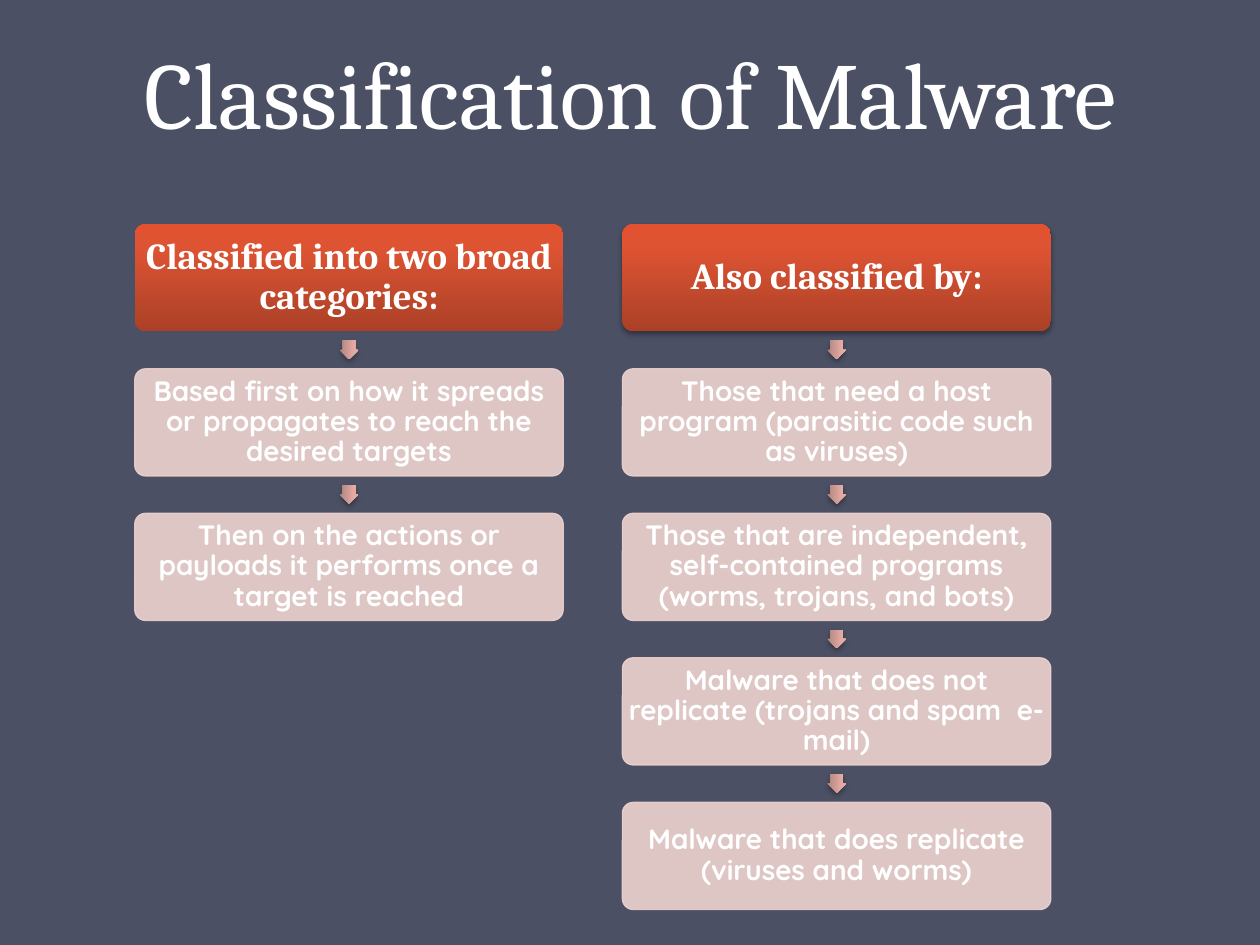
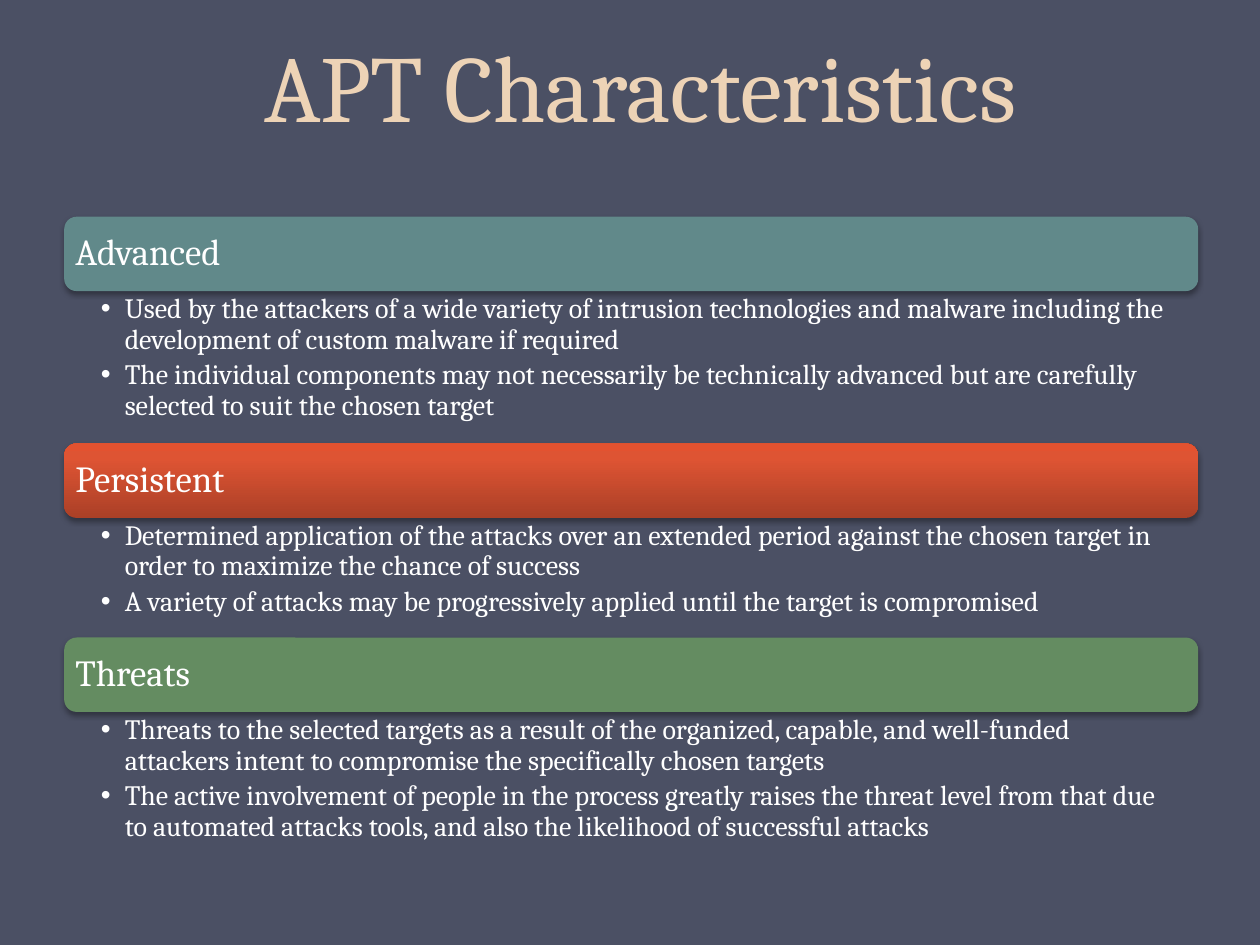
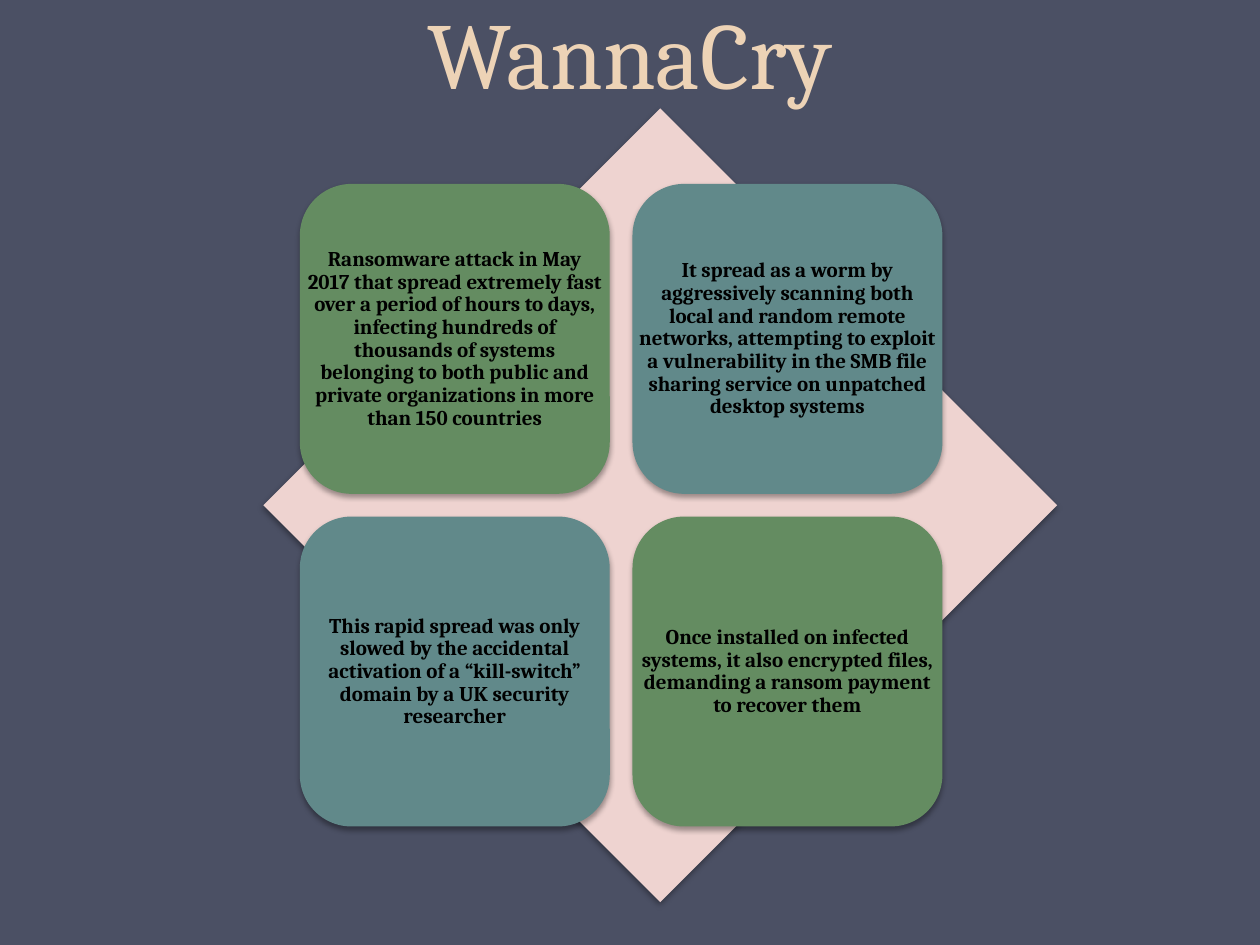
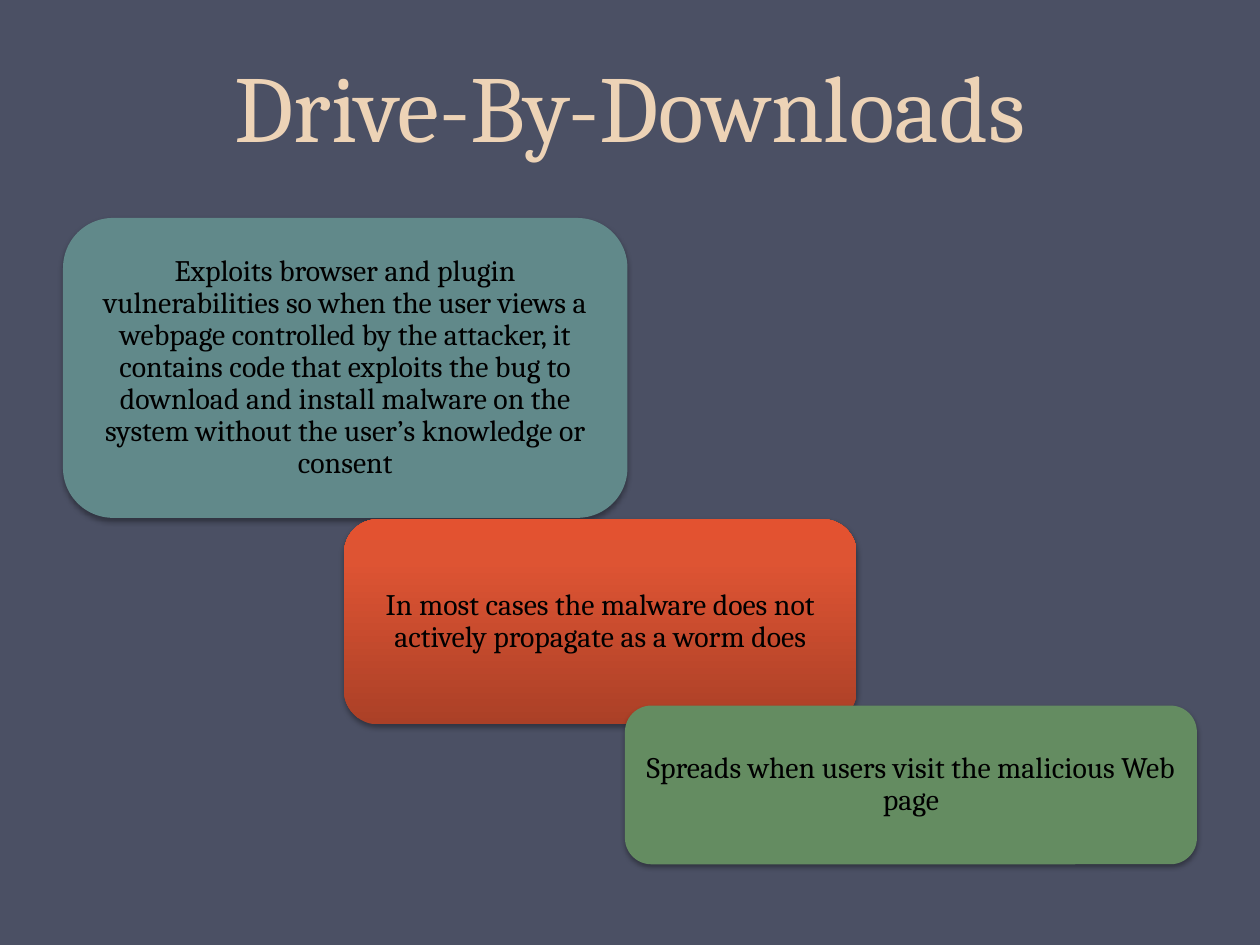
from pptx import Presentation
from pptx.dml.color import RGBColor
from pptx.enum.shapes import MSO_SHAPE as Shape
from pptx.enum.text import MSO_ANCHOR as Anchor, MSO_AUTO_SIZE as AutoSize, PP_ALIGN as Align
from pptx.oxml import parse_xml
from pptx.oxml.ns import nsdecls
from pptx.util import Inches, Pt

color = RGBColor.from_string
SLATE, SAND, WHITE, BLACK = "4B5064", "EDD3B6", "FFFFFF", "000000"
TEAL, GREEN, BLUSH = "61898A", "648C61", "EED3D0"
EMBER = [(0, "AB4027"), (80, "DE5433"), (100, "E35230")]
ROSE = [(0, "B1847F"), (80, "E5ACA4"), (100, "E8ACA4")]


def write(box, *lines, size=16, font="Cambria", ink=WHITE, bold=False, align=Align.CENTER,
          anchor=Anchor.MIDDLE, spacing=0.9, after=0, margins=(0, 0, 0, 0), bullet=None):
    frame = box.text_frame
    frame.word_wrap = True
    frame.auto_size = AutoSize.NONE
    frame.vertical_anchor = anchor
    frame.margin_left, frame.margin_top, frame.margin_right, frame.margin_bottom = map(Inches, margins)
    for index, line in enumerate(lines):
        para = frame.add_paragraph() if index else frame.paragraphs[0]
        para.alignment = align
        para.line_spacing = spacing
        para.space_before = Pt(0)
        para.space_after = Pt(after)
        span = para.add_run()
        span.text = line
        span.font.name = font
        span.font.size = Pt(size)
        span.font.bold = bold
        span.font.color.rgb = color(ink)
        if bullet:
            properties = para._p.get_or_add_pPr()
            properties.set("marL", str(Inches(0.19)))
            properties.set("indent", str(Inches(-0.19)))
            properties.append(parse_xml(f'<a:buChar {nsdecls("a")} char="{bullet}"/>'))


def add_card(slide, kind, left, top, width, height, paint, shadow=True, adjust=None, opacity=None):
    card = slide.shapes.add_shape(kind, Inches(left), Inches(top), Inches(width), Inches(height))
    card.shadow.inherit = False
    card.line.fill.background()
    for index, value in enumerate(adjust or []):
        card.adjustments[index] = value
    if isinstance(paint, list):
        stops = "".join(f'<a:gs pos="{place * 1000}"><a:srgbClr val="{shade}"/></a:gs>' for place, shade in paint)
        card.fill.background()
        blank = card._element.spPr.find("{*}noFill")
        blank.getparent().replace(blank, parse_xml(
            f'<a:gradFill {nsdecls("a")} rotWithShape="1"><a:gsLst>{stops}</a:gsLst>'
            '<a:lin ang="16200000" scaled="0"/></a:gradFill>'))
    else:
        card.fill.solid()
        card.fill.fore_color.rgb = color(paint)
    if opacity:
        card.line.color.rgb = color(paint)
        card.line.width = Pt(0.75)
        for tone in card._element.spPr.iter("{*}srgbClr"):
            tone.append(parse_xml(f'<a:alpha {nsdecls("a")} val="{opacity * 1000}"/>'))
    if shadow:
        card._element.spPr.find("{*}effectLst").append(parse_xml(
            f'<a:outerShdw {nsdecls("a")} blurRad="{Pt(3.1)}" dist="{Pt(1.8)}" dir="5400000" rotWithShape="0">'
            f'<a:srgbClr val="{BLACK}"><a:alpha val="35000"/></a:srgbClr></a:outerShdw>'))
    return card


deck = Presentation()
deck.slide_width, deck.slide_height = Inches(10), Inches(7.5)
backdrop = deck.slide_master.background.fill
backdrop.solid()
backdrop.fore_color.rgb = color(SLATE)
TITLE_ONLY, COMPARISON = deck.slide_layouts[5], deck.slide_layouts[4]

slides = []
for layout, title, ink, place in [
    (TITLE_ONLY, "Classification of Malware", WHITE, (0.5, 0, 9, 1.23)),
    (COMPARISON, "APT Characteristics", SAND, (0.58, -0.58, 9, 1.75)),
    (TITLE_ONLY, "WannaCry", SAND, (0, -0.27, 10, 1.18)),
    (TITLE_ONLY, "Drive-By-Downloads", SAND, (0.5, -0.42, 9, 1.75)),
]:
    slide = deck.slides.add_slide(layout)
    heading = slide.shapes.title
    heading.left, heading.top, heading.width, heading.height = map(Inches, place)
    write(heading, title, size=54, ink=ink, anchor=Anchor.BOTTOM, spacing=Pt(58),
          margins=(0.1, 0.05, 0.1, 0.05))
    slides.append(slide)
malware, threat, ransomware, downloads = slides

width, height, step, arrow_size = 3.4, 0.85, 1.147, 0.15
for left, header, header_shadow, steps in [
    (1.07, "Classified into two broad categories:", False, [
        "Based first on how it spreads or propagates to reach the desired targets",
        "Then on the actions or payloads it performs once a target is reached"]),
    (4.94, "Also classified by:", True, [
        "Those that need a host program (parasitic code such as viruses)",
        "Those that are independent, self-contained programs (worms, trojans, and bots)",
        "Malware that does not replicate (trojans and spam  e-mail)",
        "Malware that does replicate (viruses and worms)"]),
]:
    card = add_card(malware, Shape.ROUNDED_RECTANGLE, left, 1.78, width, height, EMBER,
                    shadow=header_shadow, adjust=[0.1])
    write(card, header, size=21, bold=True)
    for index, text in enumerate(steps, 1):
        top = 1.78 + index * step
        arrow = add_card(malware, Shape.RIGHT_ARROW, left + (width - arrow_size) / 2, top - 0.225,
                         arrow_size, arrow_size, ROSE, adjust=[0.667, 0.5])
        arrow.rotation = 90
        card = add_card(malware, Shape.ROUNDED_RECTANGLE, left, top, width, height, BLUSH,
                        shadow=False, adjust=[0.1], opacity=90)
        write(card, text, font="Quicksand", bold=True)

bands = [
    ("Advanced", TEAL, 1.21, [
        "Used by the attackers of a wide variety of intrusion technologies and malware including "
        "the development of custom malware if required",
        "The individual components may not necessarily be technically advanced but are carefully "
        "selected to suit the chosen target"]),
    ("Persistent", EMBER, 0.95, [
        "Determined application of the attacks over an extended period against the chosen target "
        "in order to maximize the chance of success",
        "A variety of attacks may be progressively applied until the target is compromised"]),
    ("Threats", GREEN, 1.21, [
        "Threats to the selected targets as a result of the organized, capable, and well-funded "
        "attackers intent to compromise the specifically chosen targets",
        "The active involvement of people in the process greatly raises the threat level from that "
        "due to automated attacks tools, and also the likelihood of successful attacks"]),
]
title_holder, *bodies, spare = list(threat.placeholders)
spare.element.getparent().remove(spare.element)
top, band_height = 1.72, 0.59
for body, (label, paint, body_height, points) in zip(bodies, bands):
    band = add_card(threat, Shape.ROUNDED_RECTANGLE, 0.51, top, 9, band_height, paint)
    write(band, label, size=21, align=Align.LEFT, margins=(0.06, 0.06, 0.06, 0.06))
    top += band_height
    body.left, body.top, body.width, body.height = map(Inches, (0.51, top, 9, body_height))
    write(body, *points, align=Align.LEFT, anchor=Anchor.TOP, after=3.2,
          margins=(0.29, 0.03, 0.16, 0.03), bullet="•")
    top += body_height

add_card(ransomware, Shape.DIAMOND, 2.09, 0.86, 6.3, 6.3, BLUSH)
side, pitch = 2.46, 2.64
for index, (paint, text) in enumerate([
    (GREEN, "Ransomware attack in May 2017 that spread extremely fast over a period of hours to days, "
            "infecting hundreds of thousands of systems belonging to both public and private "
            "organizations in more than 150 countries"),
    (TEAL, "It spread as a worm by aggressively scanning both local and random remote networks, "
           "attempting to exploit a vulnerability in the SMB file sharing service on unpatched "
           "desktop systems"),
    (TEAL, "This rapid spread was only slowed by the accidental activation of a “kill-switch” "
           "domain by a UK security researcher"),
    (GREEN, "Once installed on infected systems, it also encrypted files, demanding a ransom "
            "payment to recover them"),
]):
    row, column = divmod(index, 2)
    left, top = 2.38 + column * pitch, 1.46 + row * pitch
    add_card(ransomware, Shape.ROUNDED_RECTANGLE, left, top, side, side, paint)
    box = ransomware.shapes.add_textbox(Inches(left), Inches(top), Inches(side), Inches(side))
    write(box, text, size=12, ink=BLACK, bold=True, margins=(0.05, 0.05, 0.05, 0.05))

for place, paint, text in [
    ((0.5, 1.73, 4.48, 2.38), TEAL,
     "Exploits browser and plugin vulnerabilities so when the user views a webpage controlled by "
     "the attacker, it contains code that exploits the bug to download and install malware on the "
     "system without the user’s knowledge or consent"),
    ((2.73, 4.12, 4.07, 1.63), EMBER,
     "In most cases the malware does not actively propagate as a worm does"),
    ((4.96, 5.6, 4.54, 1.26), GREEN, "Spreads when users visit the malicious Web page"),
]:
    card = add_card(downloads, Shape.ROUNDED_RECTANGLE, *place, paint)
    write(card, text, size=17, ink=BLACK, margins=(0.07, 0.04, 0.07, 0.04))

deck.save("out.pptx")
